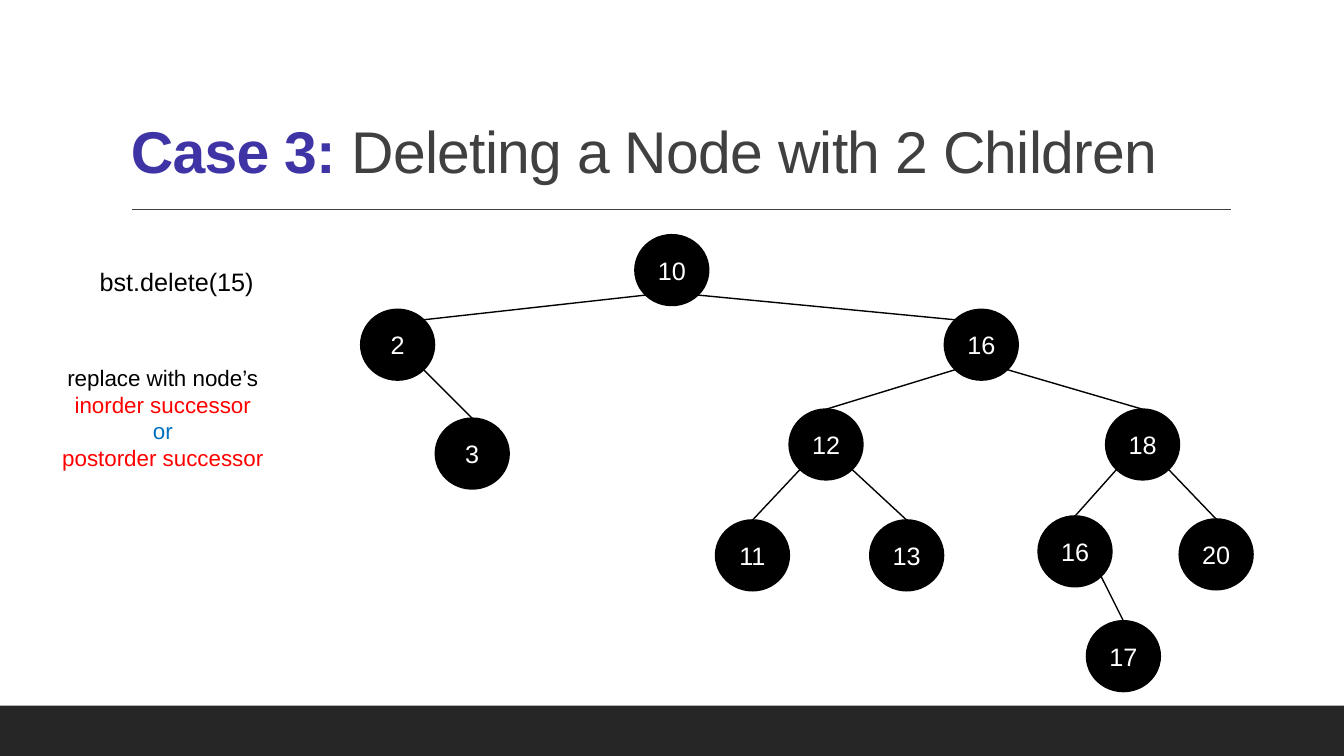
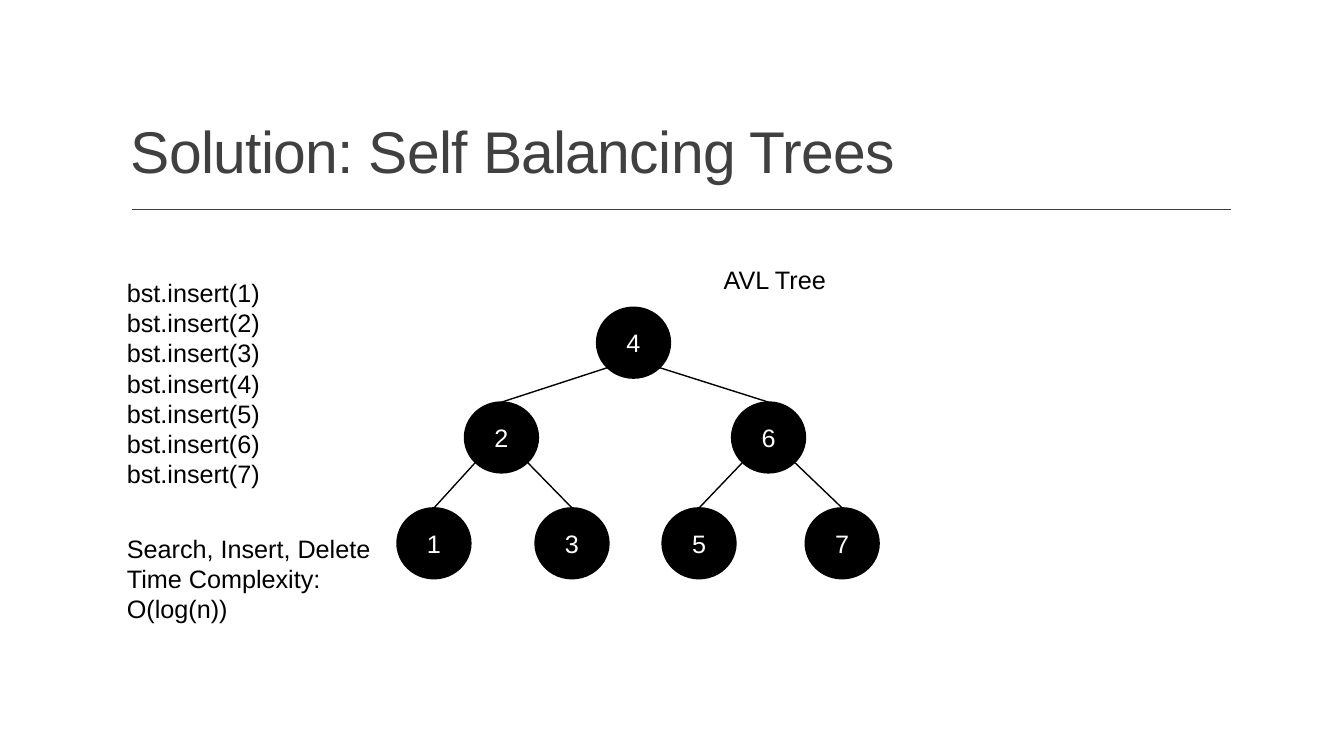
"""Build two slides about binary search trees on a grid of tenth-inch cells."""
from dataclasses import dataclass
from math import copysign, sqrt
from typing import Optional

from lxml.etree import SubElement
from pptx import Presentation
from pptx.dml.color import RGBColor
from pptx.enum.shapes import MSO_CONNECTOR, MSO_SHAPE
from pptx.enum.text import MSO_ANCHOR, MSO_AUTO_SIZE, PP_ALIGN
from pptx.oxml.ns import qn
from pptx.util import Inches, Pt

COLS, ROWS = 133.33, 75
NODE_W, NODE_H = 7.3, 7
WIDE_EDGE = 20
FONT = "Arial"
BLACK, WHITE, GREY, DARK = "000000", "FFFFFF", "404040", "262626"
INDIGO, RED, BLUE = "3F34A5", "FF0000", "0070C0"


@dataclass(frozen=True)
class Run:
    """A piece of text with its own colour and weight."""
    text: str
    color: str = BLACK
    bold: bool = False


@dataclass(frozen=True)
class Note:
    """A block of unwrapped lines at a grid position."""
    col: float
    row: float
    cols: float
    rows: float
    lines: list[Run]
    size: int = 18
    align: PP_ALIGN = PP_ALIGN.LEFT


@dataclass(frozen=True)
class Node:
    """A tree node with its grid position and its two children."""
    label: str
    col: float
    row: float
    left: Optional["Node"] = None
    right: Optional["Node"] = None

    def rim(self, x: float, y: float) -> tuple[float, float]:
        """Return the rim point in direction x, y, given as shares of the radii."""
        return self.col + NODE_W / 2 * (1 + x), self.row + NODE_H / 2 * (1 + y)


def cells(count: float):
    """Convert grid cells to a length."""
    return Inches(count / 10)


def rgb(value: str) -> RGBColor:
    """Convert a hex string to a colour."""
    return RGBColor.from_string(value)


def write(sp, lines: list[list[Run]], *, size: float, align=PP_ALIGN.LEFT,
          anchor=MSO_ANCHOR.TOP, wrap: bool = False, spacing: float = 1,
          tracking: float = 0) -> None:
    """Fill a shape with formatted lines, one paragraph each."""
    tf = sp.text_frame
    tf.word_wrap, tf.vertical_anchor = wrap, anchor
    for i, runs in enumerate(lines):
        p = tf.add_paragraph() if i else tf.paragraphs[0]
        p.alignment, p.line_spacing = align, spacing
        for run in runs:
            r = p.add_run()
            r.text = run.text
            r.font.name, r.font.size, r.font.bold = FONT, Pt(size), run.bold
            r.font.color.rgb = rgb(run.color)
            if tracking:
                r.font._element.set("spc", str(round(tracking * 100)))


def add_box(s, col: float, row: float, cols: float, rows: float):
    """Add an empty text box."""
    return s.shapes.add_textbox(*map(cells, (col, row, cols, rows)))


def add_solid(s, kind, col: float, row: float, cols: float, rows: float,
              color: str, outline: float = 0):
    """Add a filled shape with an optional outline of the same colour."""
    sp = s.shapes.add_shape(kind, *map(cells, (col, row, cols, rows)))
    sp.shadow.inherit = False
    sp.fill.solid()
    sp.fill.fore_color.rgb = rgb(color)
    if outline:
        sp.line.color.rgb, sp.line.width = rgb(color), Pt(outline)
    else:
        sp.line.fill.background()
    return sp


def add_line(s, start: tuple[float, float], end: tuple[float, float],
             color: str = BLACK) -> None:
    """Draw a thin straight line between two grid points."""
    line = s.shapes.add_connector(MSO_CONNECTOR.STRAIGHT, *map(cells, (*start, *end)))
    line.line.color.rgb, line.line.width = rgb(color), Pt(1)
    SubElement(line._element.spPr, qn("a:effectLst"))


def add_tree(s, node: Node) -> None:
    """Draw a node, the edges to its children and their subtrees."""
    diagonal = sqrt(0.5)
    for child in filter(None, (node.left, node.right)):
        shift = child.col - node.col
        side = copysign(diagonal, shift)
        top = child.rim(-side, -diagonal) if abs(shift) > WIDE_EDGE else child.rim(0, -1)
        add_line(s, node.rim(side, diagonal), top)
        add_tree(s, child)
    sp = add_solid(s, MSO_SHAPE.OVAL, node.col, node.row, NODE_W, NODE_H, BLACK, 1.25)
    write(sp, [[Run(node.label, WHITE)]], size=18, align=PP_ALIGN.CENTER,
          anchor=MSO_ANCHOR.MIDDLE)


def add_note(s, note: Note) -> None:
    """Draw a note, one paragraph per run."""
    sp = add_box(s, note.col, note.row, note.cols, note.rows)
    write(sp, [[run] for run in note.lines], size=note.size, align=note.align)
    sp.text_frame.auto_size = MSO_AUTO_SIZE.SHAPE_TO_FIT_TEXT


def add_slide(prs, title: list[Run], tree: Node, notes: list[Note],
              band: bool = True) -> None:
    """Add a slide with a ruled title, a tree, notes and an optional bottom band."""
    s = prs.slides.add_slide(prs.slide_layouts[6])
    if band:
        add_solid(s, MSO_SHAPE.RECTANGLE, 0, ROWS - 5, COLS, 5, DARK)
    add_line(s, (13.1, 20.8), (122.1, 20.8), GREY)
    write(add_box(s, 12, 3.1, 110, 15.9), [title], size=42, wrap=True,
          anchor=MSO_ANCHOR.BOTTOM, spacing=0.9, tracking=-0.5)
    add_tree(s, tree)
    for note in notes:
        add_note(s, note)


def main() -> None:
    """Build and save the presentation."""
    prs = Presentation()
    prs.slide_width, prs.slide_height = cells(COLS), cells(ROWS)

    deletion_tree = Node(
        "10", 63, 23.3,
        Node("2", 35.8, 30.7, right=Node("3", 43.2, 41.5)),
        Node("16", 93.7, 30.7,
             Node("12", 78.3, 40.6, Node("11", 71, 51.6), Node("13", 86.3, 51.6)),
             Node("18", 109.7, 40.6,
                  Node("16", 103, 51.2, right=Node("17", 107.8, 61.6)),
                  Node("20", 117, 51.5))))
    add_slide(
        prs,
        [Run("Case 3: ", INDIGO, True), Run("Deleting a Node with 2 Children", GREY)],
        deletion_tree,
        [Note(8.9, 25.9, 17.4, 4, [Run("bst.delete(15)")]),
         Note(5, 35.6, 22.3, 11.8,
              [Run("replace with node’s"), Run("inorder successor", RED),
               Run("or", BLUE), Run("postorder successor", RED)],
              16, PP_ALIGN.CENTER)])

    balanced_tree = Node(
        "4", 59.2, 30.5,
        Node("2", 46.1, 39.9, Node("1", 39.4, 50.4), Node("3", 53.1, 50.4)),
        Node("6", 72.6, 39.9, Node("5", 65.7, 50.4), Node("7", 79.9, 50.4)))
    add_slide(
        prs, [Run("Solution: Self Balancing Trees", GREY)], balanced_tree,
        [Note(11.6, 27, 15.8, 22.2, [Run(f"bst.insert({n})") for n in range(1, 8)]),
         Note(11.6, 52.4, 26.2, 10.1,
              [Run("Search, Insert, Delete"), Run("Time Complexity:"), Run("O(log(n))")]),
         Note(70.8, 25.7, 12.2, 4, [Run("AVL Tree")])],
        band=False)

    prs.save("out.pptx")


if __name__ == "__main__":
    main()
